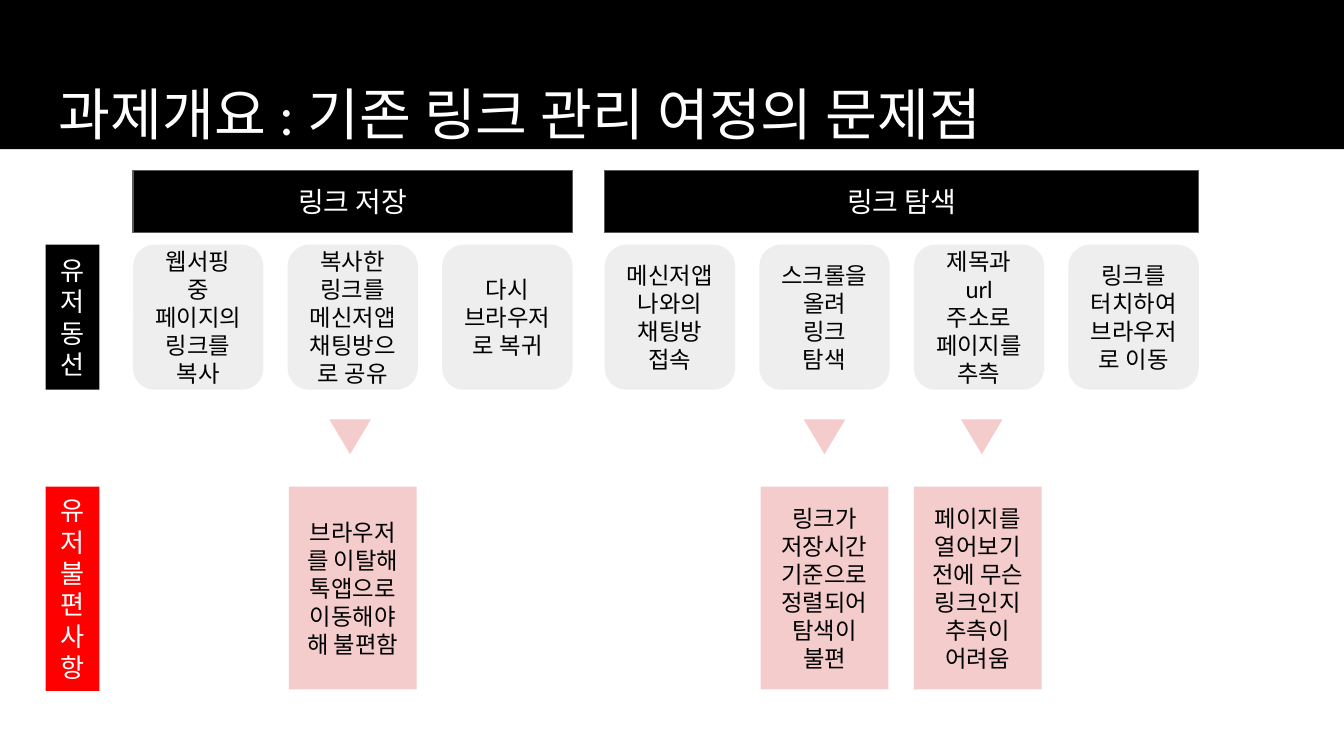
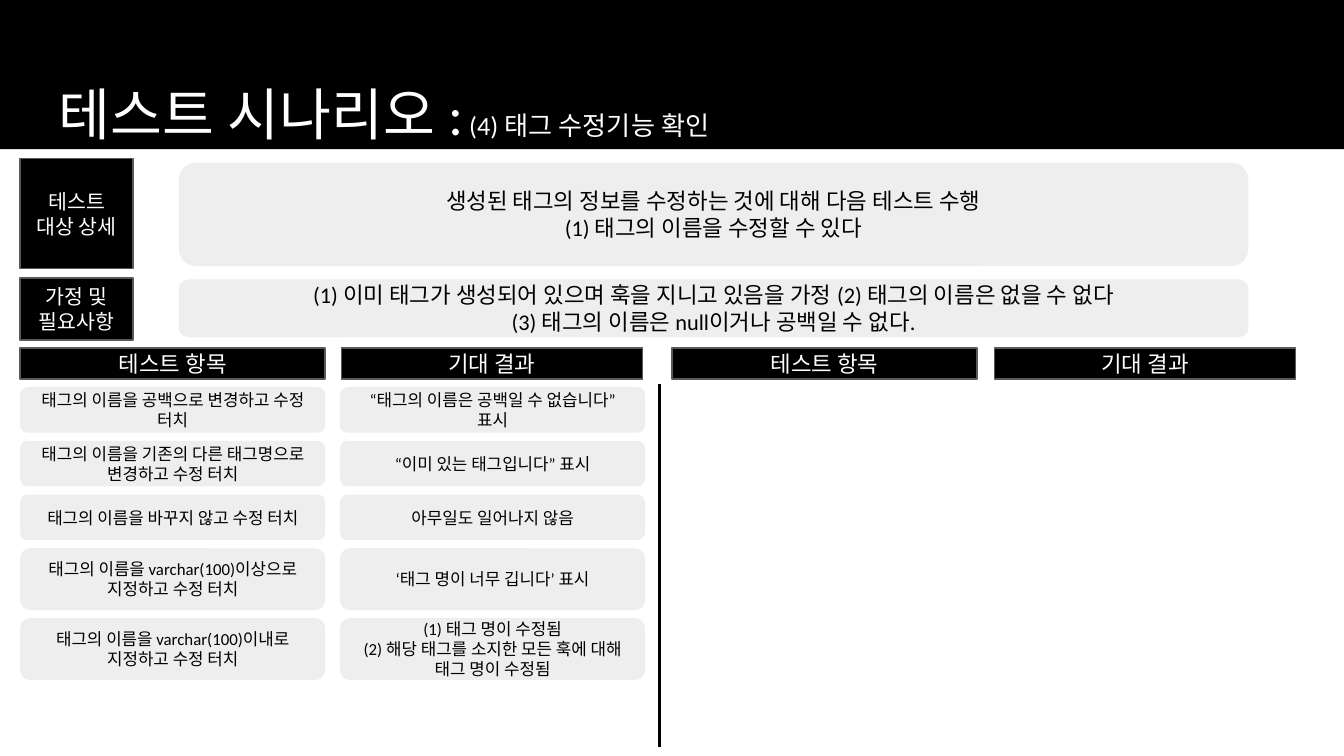
from dataclasses import dataclass

from lxml import etree
from pptx import Presentation
from pptx import util as u
from pptx.dml.color import RGBColor
from pptx.enum import shapes, text
from pptx.oxml.ns import qn

COLORS = {
    "black": "000000",
    "white": "FFFFFF",
    "border": "595959",
    "card": "EEEEEE",
    "pain": "F4CCCC",
    "alert": "FF0000",
}
RECT = shapes.MSO_SHAPE.RECTANGLE
ROUNDED = shapes.MSO_SHAPE.ROUNDED_RECTANGLE
MERGE = shapes.MSO_SHAPE.FLOWCHART_MERGE
INSET = u.Inches(0.1)


@dataclass(frozen=True)
class Style:
    fill: str
    size: float = 12
    color: str = "black"
    font: str = "Calibri"
    shape: int = RECT
    border: str = ""


@dataclass(frozen=True)
class Stage:
    title: str
    left: float
    steps: tuple[str, ...]


@dataclass(frozen=True)
class Pain:
    left: float
    arrow_left: float
    label: str


@dataclass(frozen=True)
class Summary:
    label: str
    top: float
    height: float
    body: str
    body_top: float
    body_height: float


@dataclass(frozen=True)
class Case:
    action: str
    result: str
    height: float


BAND = Style("black")
USER_LABEL = Style("black", 14, "white")
PAIN_LABEL = Style("alert", 14, "white")
STAGE = Style("black", 15, "white", border="border")
STEP = Style("card", 12.5, font="Lato", shape=ROUNDED)
PAIN = Style("pain", 12.5)
ARROW = Style("pain", shape=MERGE)
SUMMARY_LABEL = Style("black", 11, "white", border="border")
SUMMARY = Style("card", 12, shape=ROUNDED)
HEADER = Style("black", 12, "white", border="border")
CASE = Style("card", 9, shape=ROUNDED)

STEP_WIDTH, STEP_PITCH = 0.97, 1.15
STEP_TOP, STEP_HEIGHT = 1.82, 1.08
PAIN_TOP, PAIN_HEIGHT = 3.62, 1.51
CASE_TOP, CASE_GAP, CASE_WIDTH = 2.88, 0.06, 2.27

STAGES = (
    Stage("링크 저장", 0.99, (
        "웹서핑 중 페이지의 링크를 복사",
        "복사한 링크를 메신저앱 채팅방으로 공유",
        "다시 브라우저로 복귀",
    )),
    Stage("링크 탐색", 4.5, (
        "메신저앱 나와의 채팅방 접속",
        "스크롤을 올려 링크 탐색",
        "제목과 url주소로 페이지를 추측",
        "링크를 터치하여 브라우저로 이동",
    )),
)
PAINS = (
    Pain(2.15, 2.45, "브라우저를 이탈해 톡앱으로 이동해야해 불편함"),
    Pain(5.66, 5.98, "링크가 저장시간 기준으로 정렬되어 탐색이 불편"),
    Pain(6.8, 7.15, "페이지를 열어보기 전에 무슨 링크인지 추측이 어려움"),
)
SUMMARIES = (
    Summary("테스트 대상 상세", 1.18, 0.82,
            "생성된 태그의 정보를 수정하는 것에 대해 다음 테스트 수행\n"
            "(1) 태그의 이름을 수정할 수 있다", 1.21, 0.77),
    Summary("가정 및 필요사항", 2.07, 0.46,
            "(1) 이미 태그가 생성되어 있으며 훅을 지니고 있음을 가정 "
            "(2) 태그의 이름은 없을 수 없다\n"
            "(3) 태그의 이름은 null이거나 공백일 수 없다.", 2.08, 0.43),
)
CASES = (
    Case("태그의 이름을 공백으로 변경하고 수정 터치",
         "“태그의 이름은 공백일 수 없습니다” 표시", 0.34),
    Case("태그의 이름을 기존의 다른 태그명으로 변경하고 수정 터치",
         "“이미 있는 태그입니다” 표시", 0.34),
    Case("태그의 이름을 바꾸지 않고 수정 터치", "아무일도 일어나지 않음", 0.34),
    Case("태그의 이름을 varchar(100)이상으로 지정하고 수정 터치",
         "‘태그 명이 너무 깁니다’ 표시", 0.46),
    Case("태그의 이름을 varchar(100)이내로 지정하고 수정 터치",
         "(1) 태그 명이 수정됨\n"
         "(2) 해당 태그를 소지한 모든 훅에 대해 태그 명이 수정됨", 0.46),
)


def rgb(name: str) -> RGBColor:
    return RGBColor.from_string(COLORS[name])


def set_font(r, size: float, color: str, name: str = "Calibri") -> None:
    r.font.size = u.Pt(size)
    r.font.name = name
    r.font.color.rgb = rgb(color)
    latin = r._r.get_or_add_rPr().find(qn("a:latin"))
    east_asian = etree.Element(qn("a:ea"), typeface=name)
    latin.addnext(east_asian)
    east_asian.addnext(etree.Element(qn("a:cs"), typeface=name))


def set_frame(tf) -> None:
    tf.word_wrap = True
    tf.margin_left = tf.margin_right = INSET
    tf.margin_top = tf.margin_bottom = INSET


def add_box(s, style: Style, left: float, top: float, width: float,
            height: float, label: str = "") -> None:
    sp = s.shapes.add_shape(style.shape, u.Inches(left), u.Inches(top),
                            u.Inches(width), u.Inches(height))
    sp.shadow.inherit = False
    sp.fill.solid()
    sp.fill.fore_color.rgb = rgb(style.fill)
    if style.border:
        sp.line.color.rgb = rgb(style.border)
        sp.line.width = u.Pt(0.75)
    else:
        sp.line.fill.background()
    if not label:
        return
    tf = sp.text_frame
    set_frame(tf)
    tf.vertical_anchor = text.MSO_ANCHOR.MIDDLE
    tf.text = label
    for p in tf.paragraphs:
        p.alignment = text.PP_ALIGN.CENTER
        for r in p.runs:
            set_font(r, style.size, style.color, style.font)


def add_titled_slide(prs, title: str, subtitle: str = ""):
    s = prs.slides.add_slide(prs.slide_layouts[6])
    add_box(s, BAND, 0, 0, 10, 1.11)
    tb = s.shapes.add_textbox(u.Inches(0.34), u.Inches(0.49),
                              u.Inches(9.32), u.Inches(0.63))
    tf = tb.text_frame
    set_frame(tf)
    p = tf.paragraphs[0]
    for part, size in ((title, 30.2), (subtitle, 14)):
        if part:
            r = p.add_run()
            r.text = part
            set_font(r, size, "white")
    return s


def add_divider(s, x: float, top: float, bottom: float) -> None:
    line = s.shapes.add_connector(shapes.MSO_CONNECTOR.STRAIGHT, u.Inches(x),
                                  u.Inches(top), u.Inches(x), u.Inches(bottom))
    line.line.color.rgb = rgb("black")
    line.line.width = u.Pt(1.5)
    etree.SubElement(line._element.spPr, qn("a:effectLst"))


def build_journey(prs) -> None:
    s = add_titled_slide(prs, "과제개요 : 기존 링크 관리 여정의 문제점")
    add_box(s, USER_LABEL, 0.34, STEP_TOP, 0.4, STEP_HEIGHT, "유저동선")
    add_box(s, PAIN_LABEL, 0.34, PAIN_TOP, 0.4, 1.52, "유저불편사항")
    for stage in STAGES:
        width = (len(stage.steps) - 1) * STEP_PITCH + STEP_WIDTH
        add_box(s, STAGE, stage.left, 1.27, width, 0.46, stage.title)
        for i, step in enumerate(stage.steps):
            add_box(s, STEP, stage.left + i * STEP_PITCH, STEP_TOP,
                    STEP_WIDTH, STEP_HEIGHT, step)
    for pain in PAINS:
        add_box(s, ARROW, pain.arrow_left, 3.12, 0.31, 0.26)
        add_box(s, PAIN, pain.left, PAIN_TOP, 0.95, PAIN_HEIGHT, pain.label)


def build_scenario(prs) -> None:
    s = add_titled_slide(prs, "테스트 시나리오 :", " (4) 태그 수정기능 확인")
    for item in SUMMARIES:
        add_box(s, SUMMARY_LABEL, 0.15, item.top, 0.84, item.height, item.label)
        add_box(s, SUMMARY, 1.33, item.body_top, 7.96, item.body_height, item.body)
    for action_left, result_left in ((0.15, 2.54), (5, 7.4)):
        add_box(s, HEADER, action_left, 2.59, 2.27, 0.23, "테스트 항목")
        add_box(s, HEADER, result_left, 2.59, 2.24, 0.23, "기대 결과")
    add_divider(s, 4.91, 2.86, 5.56)
    top = CASE_TOP
    for case in CASES:
        add_box(s, CASE, 0.15, top, CASE_WIDTH, case.height, case.action)
        add_box(s, CASE, 2.53, top, CASE_WIDTH, case.height, case.result)
        top += case.height + CASE_GAP


def main() -> None:
    prs = Presentation()
    prs.slide_width = u.Inches(10)
    prs.slide_height = prs.slide_width * 9 // 16
    build_journey(prs)
    build_scenario(prs)
    prs.save("out.pptx")


if __name__ == "__main__":
    main()
